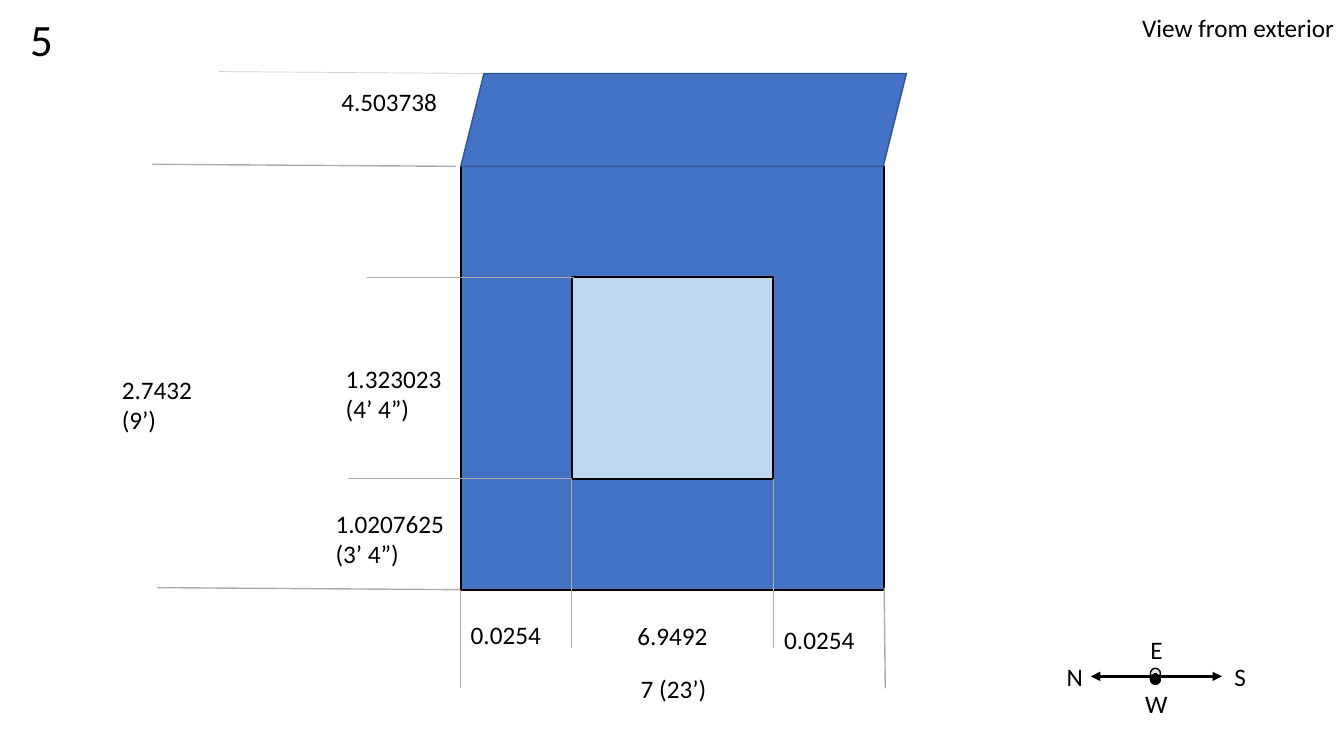
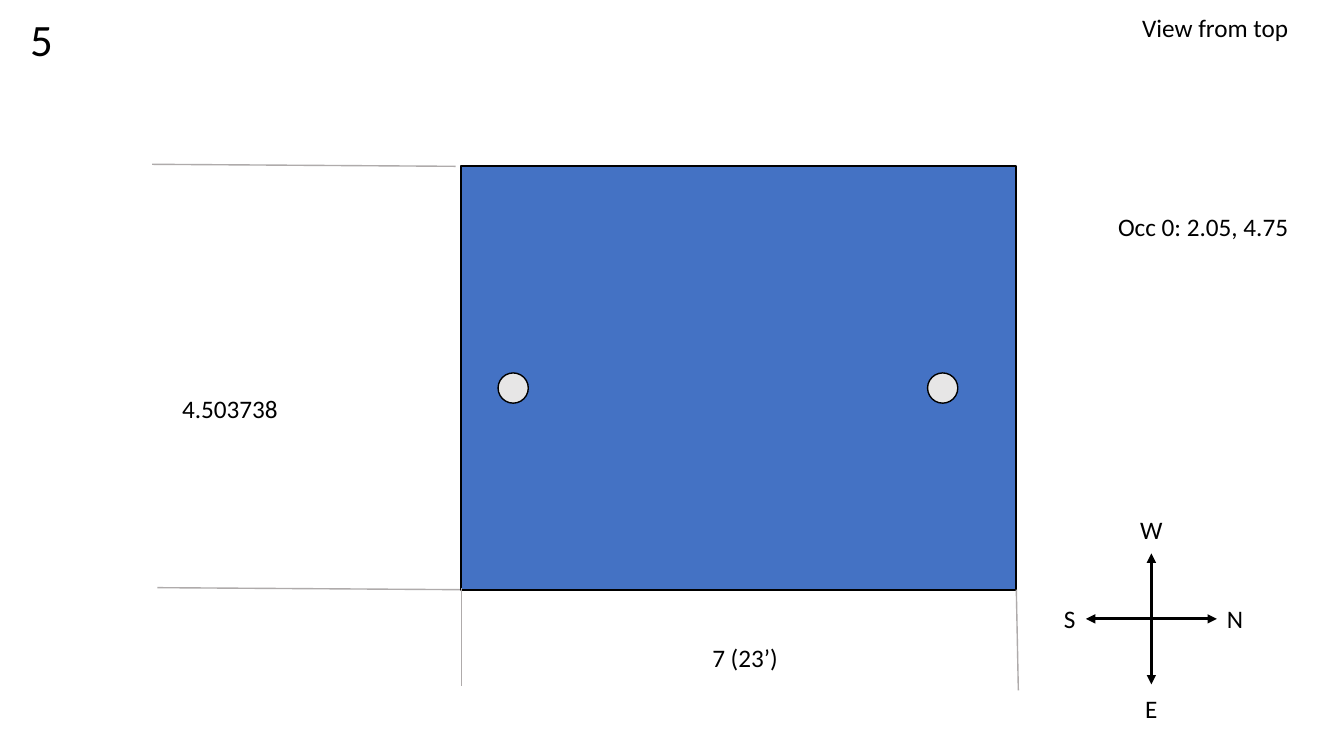
import pptx
import pptx.dml.color
import pptx.enum.shapes
import pptx.enum.text
import pptx.oxml
import pptx.oxml.ns
import pptx.util

Inches = pptx.util.Inches
Pt = pptx.util.Pt
Shape = pptx.enum.shapes.MSO_SHAPE
Align = pptx.enum.text.PP_ALIGN

FONT = "Calibri"
BLACK = "000000"
WALL = "4472C4"
GLASS = "BDD7EE"
ROOF_EDGE = "325491"
MARKER = "E7E6E6"
GUIDE = "AFABAB"
PALE_GUIDE = "D0CECE"

LEFT, TOP, SIDE = 4.57, 1.65, 4.2
BOTTOM = TOP + SIDE
WINDOW_SIDE = 2
WINDOW_LEFT = LEFT + (SIDE - WINDOW_SIDE) / 2
WINDOW_TOP = TOP + (SIDE - WINDOW_SIDE) / 2
WINDOW_RIGHT = WINDOW_LEFT + WINDOW_SIDE
WINDOW_BOTTOM = WINDOW_TOP + WINDOW_SIDE
LINE_HEIGHT = 0.4


def color(value):
    """Turn a hex string into a colour."""
    return pptx.dml.color.RGBColor.from_string(value)


def write(box, text, size=18, align=Align.LEFT, wrap=True):
    """Fill a text holder, one paragraph for each line."""
    frame = box.text_frame
    frame.text = text
    frame.word_wrap = wrap
    frame.auto_size = pptx.enum.text.MSO_AUTO_SIZE.NONE
    frame.vertical_anchor = pptx.enum.text.MSO_ANCHOR.TOP
    for para in frame.paragraphs:
        para.alignment = align
        for span in para.runs:
            span.font.name = FONT
            span.font.size = Pt(size)
            span.font.color.rgb = color(BLACK)


def add_label(shapes, text, left, top, width, **text_format):
    """Add a text box as tall as its lines."""
    height = LINE_HEIGHT + 0.31 * text.count("\n")
    box = shapes.add_textbox(Inches(left), Inches(top), Inches(width), Inches(height))
    write(box, text, **text_format)


def add_figure(shapes, kind, left, top, width, height, fill, line=BLACK, weight=1):
    """Add a filled and outlined preset shape."""
    figure = shapes.add_shape(kind, Inches(left), Inches(top), Inches(width), Inches(height))
    figure.shadow.inherit = False
    figure.fill.solid()
    figure.fill.fore_color.rgb = color(fill)
    figure.line.color.rgb = color(line)
    figure.line.width = Pt(weight)


def add_line(shapes, start, end, line=GUIDE, weight=1, arrows=False):
    """Add a straight line, with an arrowhead at each end on request."""
    connector = shapes.add_connector(
        pptx.enum.shapes.MSO_CONNECTOR.STRAIGHT, *(Inches(value) for value in start + end))
    connector.line.color.rgb = color(line)
    connector.line.width = Pt(weight)
    properties = connector.element.spPr
    if arrows:
        outline = properties.find(pptx.oxml.ns.qn("a:ln"))
        for tag in ("a:headEnd", "a:tailEnd"):
            outline.append(pptx.oxml.parse_xml(
                f'<{tag} {pptx.oxml.ns.nsdecls("a")} type="triangle"/>'))
    properties.append(pptx.oxml.parse_xml(f'<a:effectLst {pptx.oxml.ns.nsdecls("a")}/>'))


def add_compass(page, x, y, letters, rise):
    """Add a level double arrow with left, right, upper and lower letters."""
    compass = page.shapes.add_group_shape().shapes
    add_line(compass, (x - 0.65, y), (x + 0.65, y), BLACK, 2.25, arrows=True)
    places = ((x - 0.81, y), (x + 0.83, y), (x, y - rise), (x, y + rise))
    for letter, (across, down) in zip(letters, places):
        add_label(compass, letter, across - 0.2, down - LINE_HEIGHT / 2, 0.4,
                  align=Align.CENTER, wrap=False)
    return compass


def add_page(deck, view, view_width):
    """Add a page with its number, view name and height guides."""
    page = deck.slides.add_slide(deck.slide_layouts[5])
    title = page.shapes.title
    title.left, title.top = Inches(0.2), Inches(0.07)
    title.width, title.height = Inches(0.43), Inches(0.64)
    write(title, "5", size=32, wrap=False)
    add_label(page.shapes, view, 11.23, 0.07, view_width, wrap=False)
    for x, y in ((LEFT - 0.05, TOP), (LEFT, BOTTOM)):
        add_line(page.shapes, (x, y), (x - 3.01, y - 0.02))
    return page


def build_exterior(deck):
    """Draw the wall, window and roof seen from outside."""
    page = add_page(deck, "View from exterior", 2.13)
    shapes = page.shapes
    add_figure(shapes, Shape.RECTANGLE, LEFT, TOP, SIDE, SIDE, WALL, weight=1.5)
    add_figure(shapes, Shape.RECTANGLE, WINDOW_LEFT, WINDOW_TOP, WINDOW_SIDE, WINDOW_SIDE,
               GLASS, weight=1.5)
    add_line(shapes, (WINDOW_LEFT, WINDOW_BOTTOM), (3.45, WINDOW_BOTTOM))
    add_line(shapes, (WINDOW_LEFT + 0.02, WINDOW_TOP), (3.64, WINDOW_TOP))
    for x in (WINDOW_LEFT, WINDOW_RIGHT):
        add_line(shapes, (x, WINDOW_BOTTOM), (x, 6.43))
    add_line(shapes, (LEFT, BOTTOM), (LEFT, 6.83))
    add_line(shapes, (LEFT + SIDE, 5.83), (8.78, 6.83))

    add_label(shapes, "1.0207625\n(3’ 4”)", 3.23, 4.99, 1.33)
    add_label(shapes, "1.323023\n(4’ 4”)", 3.33, 3.55, 1.22)
    add_label(shapes, "2.7432\n(9’)", 1.11, 3.66, 0.9, wrap=False)
    add_label(shapes, "0.0254", LEFT, 6.09, 1.1)
    add_label(shapes, "0.0254", 7.68, 6.14, 1.1)
    for text, left, top, width in (("6.9492", WINDOW_LEFT, 6.1, WINDOW_SIDE),
                                   ("7 (23’)", LEFT, 6.63, 4.22),
                                   ("4.503738", 1.75, 0.81, 4.22)):
        add_label(shapes, text, left, top, width, align=Align.CENTER)

    add_figure(shapes, Shape.PARALLELOGRAM, LEFT, 0.73, 4.42, 0.92, WALL, line=ROOF_EDGE)
    add_line(shapes, (4.78, 0.73), (2.17, 0.71), PALE_GUIDE, 0.5)

    compass = add_compass(page, 11.47, 6.71, "NSEW", rise=0.27)
    for top, fill in ((6.63, MARKER), (6.69, BLACK)):
        add_figure(compass, Shape.OVAL, 11.41, top, 0.1, 0.1, fill)
    add_line(compass, (11.46, 6.73), (11.46, 6.68), BLACK, 2.25)


def build_top(deck):
    """Draw the floor and its two markers seen from above."""
    page = add_page(deck, "View from top", 1.67)
    shapes = page.shapes
    width = 5.51
    add_figure(shapes, Shape.RECTANGLE, LEFT, TOP, width, SIDE, WALL, weight=1.5)
    add_line(shapes, (4.58, 5.83), (4.58, 6.81))
    add_line(shapes, (LEFT + width, BOTTOM), (10.1, 6.85))
    for left in (4.94, 9.2):
        add_figure(shapes, Shape.OVAL, left, 3.7, 0.3, 0.3, MARKER)
    add_label(shapes, "7 (23’)", 5.28, 6.32, 4.22, align=Align.CENTER)
    add_label(shapes, "4.503738", 0.17, 3.85, 4.22, align=Align.CENTER)
    add_label(shapes, "Occ 0: 2.05, 4.75", 10.99, 2.05, 1.91, wrap=False)
    compass = add_compass(page, 11.42, 6.14, "SNWE", rise=0.89)
    add_line(compass, (11.42, 5.49), (11.42, 6.79), BLACK, 2.25, arrows=True)


def main():
    """Build and save the deck."""
    deck = pptx.Presentation()
    deck.slide_width, deck.slide_height = Inches(13.33), Inches(7.5)
    build_exterior(deck)
    build_top(deck)
    deck.save("out.pptx")


if __name__ == "__main__":
    main()
